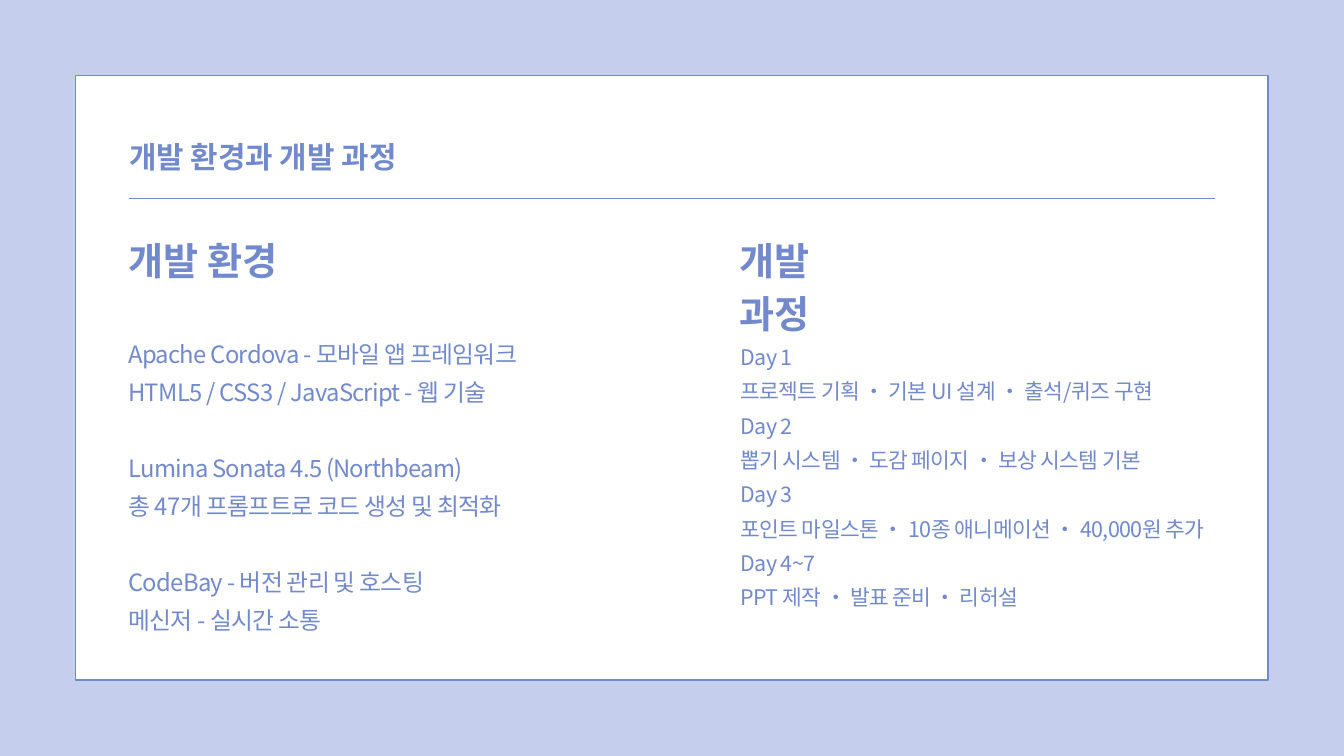
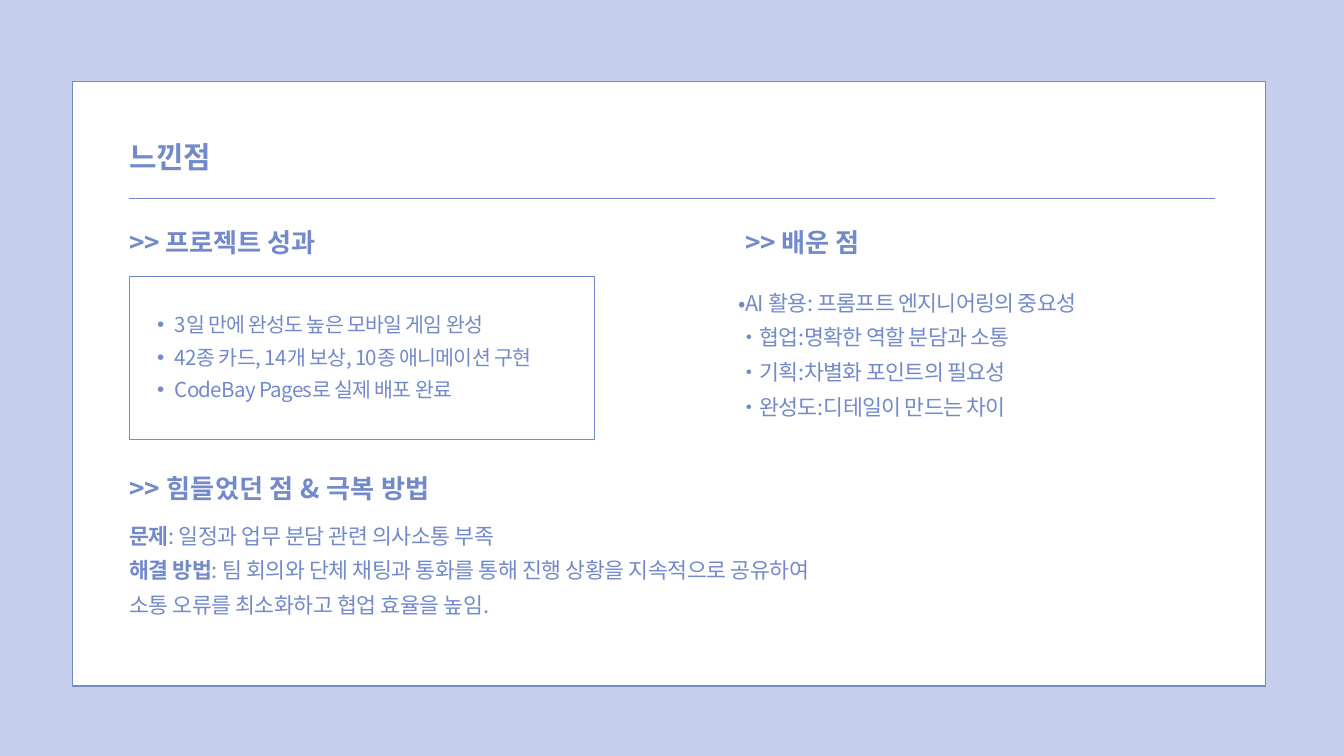
from lxml.etree import SubElement
from pptx import Presentation
from pptx.dml.color import RGBColor
from pptx.enum.shapes import MSO_CONNECTOR, MSO_SHAPE
from pptx.enum.text import MSO_ANCHOR, MSO_AUTO_SIZE, PP_ALIGN
from pptx.oxml.ns import qn
from pptx.util import Inches, Pt

# Theme: colours, and for each text style its size, line pitch, weight, tracking
THEME = {
    "ink": RGBColor.from_string("728ACC"),
    "back": RGBColor.from_string("C6CEED"),
    "card": RGBColor.from_string("FFFFFF"),
    "face": "Noto Sans CJK KR",
    "title": {"size": 32, "lead": 44.8, "bold": True, "track": 0},
    "head": {"size": 40.9, "lead": 57.2, "bold": True, "track": 0},
    "sub": {"size": 28, "lead": 39.2, "bold": True, "track": 0},
    "wide": {"size": 28, "lead": 39.2, "bold": True, "track": 30},
    "tools": {"size": 25.5, "lead": 40.8, "bold": False, "track": -80},
    "days": {"size": 23, "lead": 36.8, "bold": False, "track": -70},
    "list": {"size": 22, "lead": 35.1, "bold": False, "track": -70},
    "body": {"size": 23.2, "lead": 37.1, "bold": False, "track": -70},
    "fix": {"size": 23.2, "lead": 37.1, "bold": False, "track": -40},
}
FRAME = {
    "margin_left": 0, "margin_top": 0, "margin_right": 0, "margin_bottom": 0,
    "word_wrap": True, "auto_size": MSO_AUTO_SIZE.NONE,
    "vertical_anchor": MSO_ANCHOR.TOP,
}
LEFT = 1.92


def write(shape, box, kind, lines):
    """Place a shape and fill it; "label|rest" makes the label bold."""
    style = THEME[kind]
    for key, val in zip(("left", "top", "width", "height"), box):
        setattr(shape, key, Inches(val))
    frame = shape.text_frame
    for key, val in FRAME.items():
        setattr(frame, key, val)
    for num, line in enumerate(lines):
        para = frame.add_paragraph() if num else frame.paragraphs[0]
        para.alignment = PP_ALIGN.LEFT
        para.line_spacing = Pt(style["lead"])
        label, bar, rest = line.partition("|")
        for text, bold in ((label, bool(bar) or style["bold"]), (rest, False)):
            if not text:
                continue
            run = para.add_run()
            run.text = text
            look = {"size": Pt(style["size"]), "bold": bold, "name": THEME["face"]}
            for key, val in look.items():
                setattr(run.font, key, val)
            run.font.color.rgb = THEME["ink"]
            props = run._r.get_or_add_rPr()
            props.set("spc", str(style["track"]))
            SubElement(props, qn("a:ea"), typeface=THEME["face"])
    return frame.paragraphs


def panel(slide, box, width, fill=None):
    """Add an outlined rectangle, filled or hollow."""
    rect = slide.shapes.add_shape(MSO_SHAPE.RECTANGLE, *map(Inches, box))
    rect.shadow.inherit = False
    if fill is None:
        rect.fill.background()
    else:
        rect.fill.solid()
        rect.fill.fore_color.rgb = fill
    rect.line.color.rgb = THEME["ink"]
    rect.line.width = Pt(width)
    return rect


deck = Presentation()
deck.slide_width, deck.slide_height = Inches(20), Inches(11.25)
back = deck.slide_master.background.fill
back.solid()
back.fore_color.rgb = THEME["back"]

# Shared frame: card, title and rule
slides = []
for title, x, y in (("개발 환경과 개발 과정", 1.12, 1.12), ("느낀점", 1.08, 1.21)):
    slide = deck.slides.add_slide(deck.slide_layouts[5])
    card = panel(slide, (x, y, 17.75, 9), 1.5, THEME["card"])
    slide.shapes._spTree.insert(2, card._element)
    write(slide.shapes.title, (LEFT, 1.98, 10.86, 0.6), "title", [title])
    rule = slide.shapes.add_connector(
        MSO_CONNECTOR.STRAIGHT, Inches(LEFT), Inches(2.95), Inches(18.08), Inches(2.95))
    rule.line.color.rgb = THEME["ink"]
    rule.line.width = Pt(0.75)
    SubElement(rule._element.spPr, qn("a:effectLst"))
    slides.append(slide)
setup, review = slides

# Result box sits under its list
panel(review, (LEFT, 4.11, 6.92, 2.43), 0.75)

# Text blocks of both slides
blocks = {
    "env head": (setup, (1.91, 3.42, 2.4, 0.79), "head", ["개발 환경"]),
    "env": (setup, (1.91, 4.91, 7.08, 4.55), "tools", [
        "Apache Cordova - 모바일 앱 프레임워크",
        "HTML5 / CSS3 / JavaScript - 웹 기술",
        "Lumina Sonata 4.5 (Northbeam)",
        "총 47개 프롬프트로 코드 생성 및 최적화",
        "CodeBay - 버전 관리 및 호스팅",
        "메신저 - 실시간 소통"]),
    "day head": (setup, (11, 3.42, 2.4, 1.52), "head", ["개발", "과정"]),
    "days": (setup, (11.02, 4.99, 7.4, 4.11), "days", [
        "Day 1", "프로젝트 기획 • 기본 UI 설계 • 출석/퀴즈 구현",
        "Day 2", "뽑기 시스템 • 도감 페이지 • 보상 시스템 기본",
        "Day 3", "포인트 마일스톤 • 10종 애니메이션 • 40,000원 추가",
        "Day 4~7", "PPT 제작 • 발표 준비 • 리허설"]),
    "gain head": (review, (LEFT, 3.29, 7.72, 0.52), "sub", [">> 프로젝트 성과"]),
    "gains": (review, (2.08, 4.52, 6.43, 1.47), "list", [
        "3일 만에 완성도 높은 모바일 게임 완성",
        "42종 카드, 14개 보상, 10종 애니메이션 구현",
        "CodeBay Pages로 실제 배포 완료"]),
    "learn head": (review, (11.09, 3.29, 7.72, 0.52), "sub", [">> 배운 점"]),
    "learned": (review, (10.99, 4.18, 5.73, 2), "body", [
        "•AI 활용: 프롬프트 엔지니어링의 중요성",
        "•협업:명확한 역할 분담과 소통",
        "•기획:차별화 포인트의 필요성",
        "•완성도:디테일이 만드는 차이"]),
    "fix head": (review, (LEFT, 6.95, 7.72, 0.53), "wide", [">> 힘들었던 점 & 극복 방법"]),
    "fixes": (review, (LEFT, 7.65, 10.65, 1.53), "fix", [
        "문제|: 일정과 업무 분담 관련 의사소통 부족",
        "해결 방법|: 팀 회의와 단체 채팅과 통화를 통해 진행 상황을 지속적으로 "
        "공유하여 소통 오류를 최소화하고 협업 효율을 높임."]),
}
paras = {}
for name, (slide, box, kind, lines) in blocks.items():
    shape = slide.shapes.add_textbox(*map(Inches, box))
    paras[name] = write(shape, box, kind, lines)

# Tools come in pairs, one line apart
for para in paras["env"][2::2]:
    para.space_before = Pt(THEME["tools"]["lead"])

# Bullets for the results
for para in paras["gains"]:
    props = para._p.get_or_add_pPr()
    props.set("marL", str(Inches(0.52)))
    props.set("indent", str(Inches(-0.26)))
    SubElement(props, qn("a:buFont"), typeface="Arial")
    SubElement(props, qn("a:buChar"), char="•")

deck.save("out.pptx")
